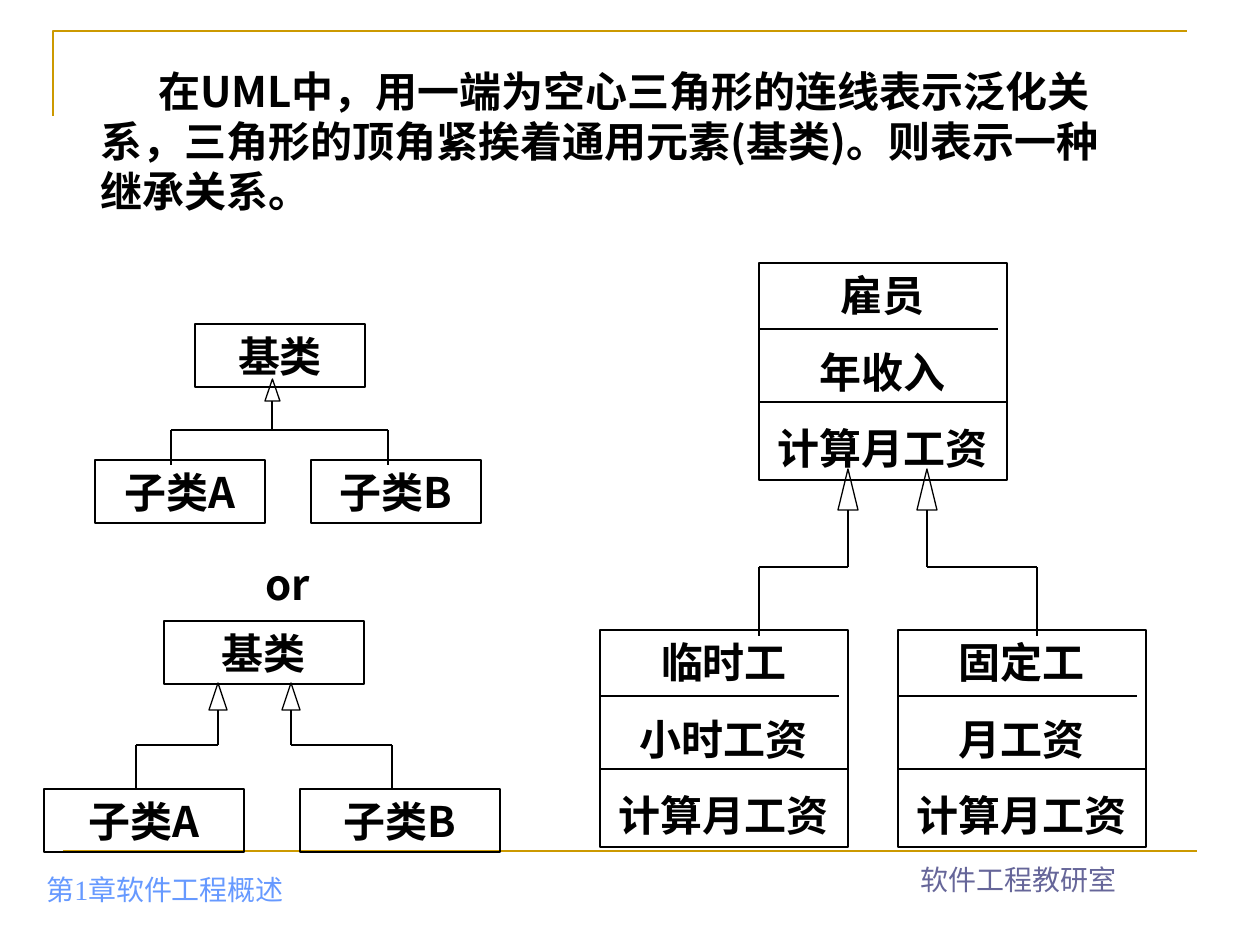
import lxml.etree
import pptx
import pptx.dml.color
import pptx.enum.shapes
import pptx.enum.text
import pptx.oxml.ns
import pptx.util

PX = 914400 // 126
THEME = {
    "ink": "000000", "rule": "CC9900", "chapter": "6699FF", "office": "666699",
    "body_font": "Noto Sans CJK SC", "footer_font": "Times New Roman",
    "body_size": 24, "footer_size": 16, "line_pitch": 28.8, "gap": 15,
    "thin": 0.75, "thick": 1.5,
}
ALIGN = pptx.enum.text.PP_ALIGN
ANCHOR = pptx.enum.text.MSO_ANCHOR
SHAPE = pptx.enum.shapes.MSO_SHAPE
qn = pptx.oxml.ns.qn


def write(shape, lines, align, anchor, color="ink", role="body"):
    frame = shape.text_frame
    frame.word_wrap = True
    frame.vertical_anchor = anchor
    frame.text = "\n".join(lines)
    for index, para in enumerate(frame.paragraphs):
        para.alignment = align
        if role == "body":
            para.line_spacing = pptx.util.Pt(THEME["line_pitch"])
        if index:
            para.space_before = pptx.util.Pt(THEME["gap"])
        for span in para.runs:
            span.font.name = THEME[role + "_font"]
            span.font.size = pptx.util.Pt(THEME[role + "_size"])
            span.font.bold = role == "body"
            span.font.color.rgb = pptx.dml.color.RGBColor.from_string(THEME[color])
            if role == "body":
                east = lxml.etree.SubElement(span.font._element, qn("a:ea"))
                east.set("typeface", THEME["body_font"])


def draw_route(shapes, points, color="ink", weight="thin"):
    for start, end in zip(points, points[1:]):
        line = shapes.add_connector(
            pptx.enum.shapes.MSO_CONNECTOR.STRAIGHT, *(v * PX for v in start + end))
        line.line.color.rgb = pptx.dml.color.RGBColor.from_string(THEME[color])
        line.line.width = pptx.util.Pt(THEME[weight])
        lxml.etree.SubElement(line._element.spPr, qn("a:effectLst"))


deck = pptx.Presentation()
deck.slide_width = 1260 * PX
deck.slide_height = 945 * PX
page = deck.slides.add_slide(deck.slide_layouts[6])

builder = page.shapes.build_freeform(53, 116, scale=PX)
builder.add_line_segments([(53, 31), (1187, 31)], close=False)
corner = builder.convert_to_shape()
corner.shadow.inherit = False
corner.fill.background()
corner.line.color.rgb = pptx.dml.color.RGBColor.from_string(THEME["rule"])
corner.line.width = pptx.util.Pt(THEME["thick"])
draw_route(page.shapes, [(63, 851), (1197, 851)], "rule", "thick")

texts = [
    ("第1章软件工程概述", (34, 849, 397, 63), ALIGN.LEFT, ANCHOR.BOTTOM, "chapter", "footer"),
    ("软件工程教研室", (819, 839, 399, 63), ALIGN.CENTER, ANCHOR.BOTTOM, "office", "footer"),
    ("在UML中，用一端为空心三角形的连线表示泛化关系，三角形的顶角紧挨着通用元素(基类)。则表示一种继承关系。",
     (88, 59, 1052, 164), ALIGN.LEFT, ANCHOR.TOP, "ink", "body"),
    ("or", (253, 552, 169, 63), ALIGN.LEFT, ANCHOR.TOP, "ink", "body"),
]
for words, place, align, anchor, color, role in texts:
    box = page.shapes.add_textbox(*(v * PX for v in place))
    write(box, [words], align, anchor, color, role)
    if words.startswith("在"):
        box.text_frame.paragraphs[0]._p.get_or_add_pPr().set("indent", str(58 * PX))

diagrams = [
    {
        "box": (170, 63), "triangle": (15, 22), "dividers": [],
        "classes": [(195, 324, ["基类"]), (311, 460, ["子类B"]), (95, 460, ["子类A"])],
        "tips": [(272, 379)],
        "routes": [[(171, 465), (171, 430), (388, 430), (388, 465)], [(272, 430), (272, 401)]],
    },
    {
        "box": (200, 63), "triangle": (18, 27), "dividers": [],
        "classes": [(164, 621, ["基类"]), (300, 789, ["子类B"]), (44, 789, ["子类A"])],
        "tips": [(218, 683), (291, 683)],
        "routes": [[(136, 789), (136, 745), (218, 745), (218, 710)],
                   [(392, 789), (392, 745), (291, 745), (291, 710)]],
    },
    {
        "box": (248, 217), "triangle": (20, 41), "dividers": [(66, 239), (139, 248)],
        "classes": [(759, 263, ["雇员", "年收入", "计算月工资"]),
                    (600, 630, ["临时工", "小时工资", "计算月工资"]),
                    (898, 630, ["固定工", "月工资", "计算月工资"])],
        "tips": [(848, 469), (927, 469)],
        "routes": [[(759, 636), (759, 567), (848, 567), (848, 510)],
                   [(1037, 636), (1037, 567), (927, 567), (927, 510)]],
    },
]
for diagram in diagrams:
    group = page.shapes.add_group_shape().shapes
    width, height = diagram["box"]
    base, rise = diagram["triangle"]
    outlines = [(SHAPE.RECTANGLE, left, top, width, height, lines)
                for left, top, lines in diagram["classes"]]
    outlines += [(SHAPE.FLOWCHART_EXTRACT, x - base // 2, y, base, rise, [])
                 for x, y in diagram["tips"]]
    for kind, left, top, wide, high, lines in outlines:
        outline = group.add_shape(kind, left * PX, top * PX, wide * PX, high * PX)
        outline.shadow.inherit = False
        outline.fill.background()
        outline.line.color.rgb = pptx.dml.color.RGBColor.from_string(THEME["ink"])
        outline.line.width = pptx.util.Pt(THEME["thin"])
        if lines:
            write(outline, lines, ALIGN.CENTER, ANCHOR.MIDDLE)
            for drop, span_width in diagram["dividers"]:
                draw_route(group, [(left, top + drop), (left + span_width, top + drop)])
    for route in diagram["routes"]:
        draw_route(group, route)

deck.save("out.pptx")
